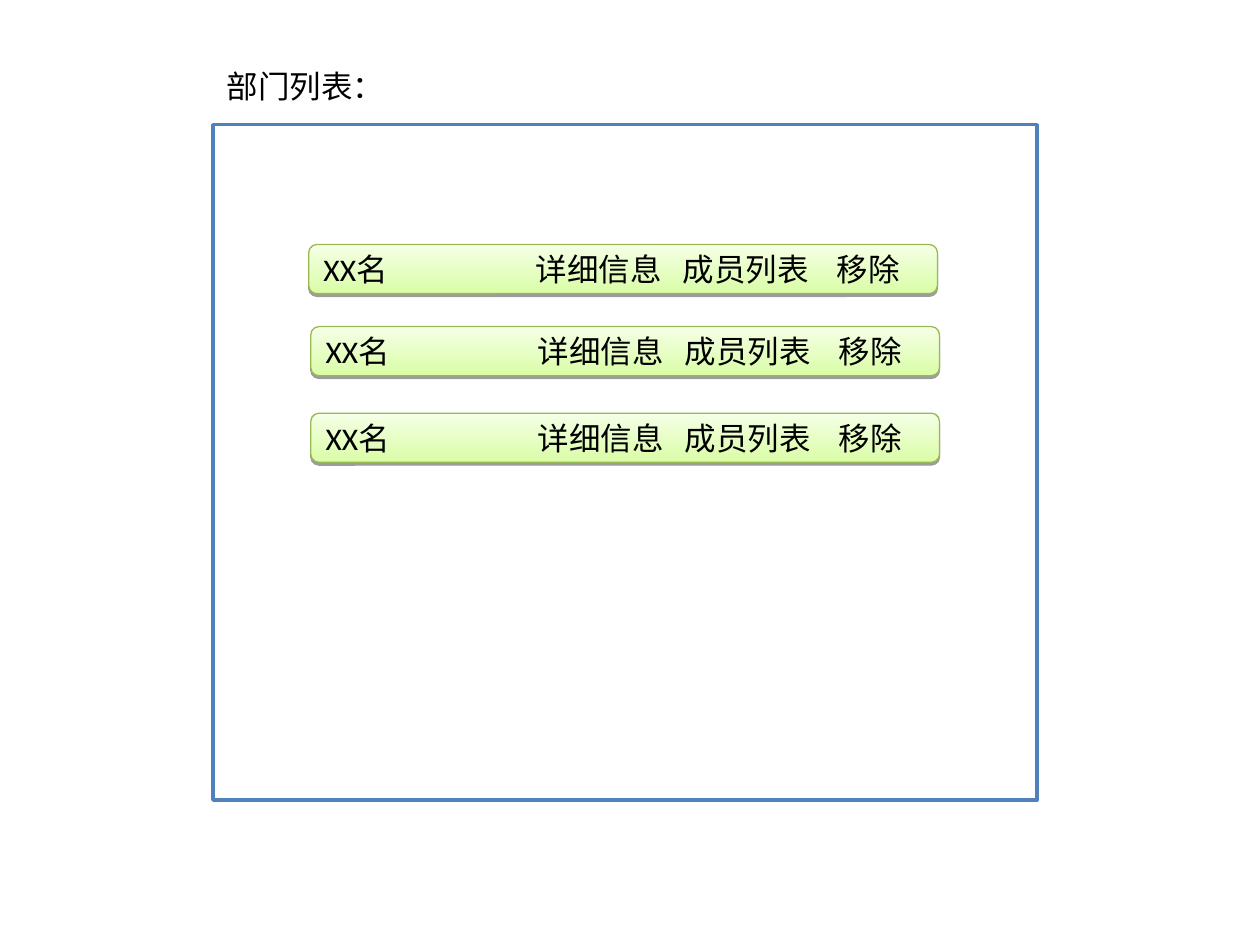
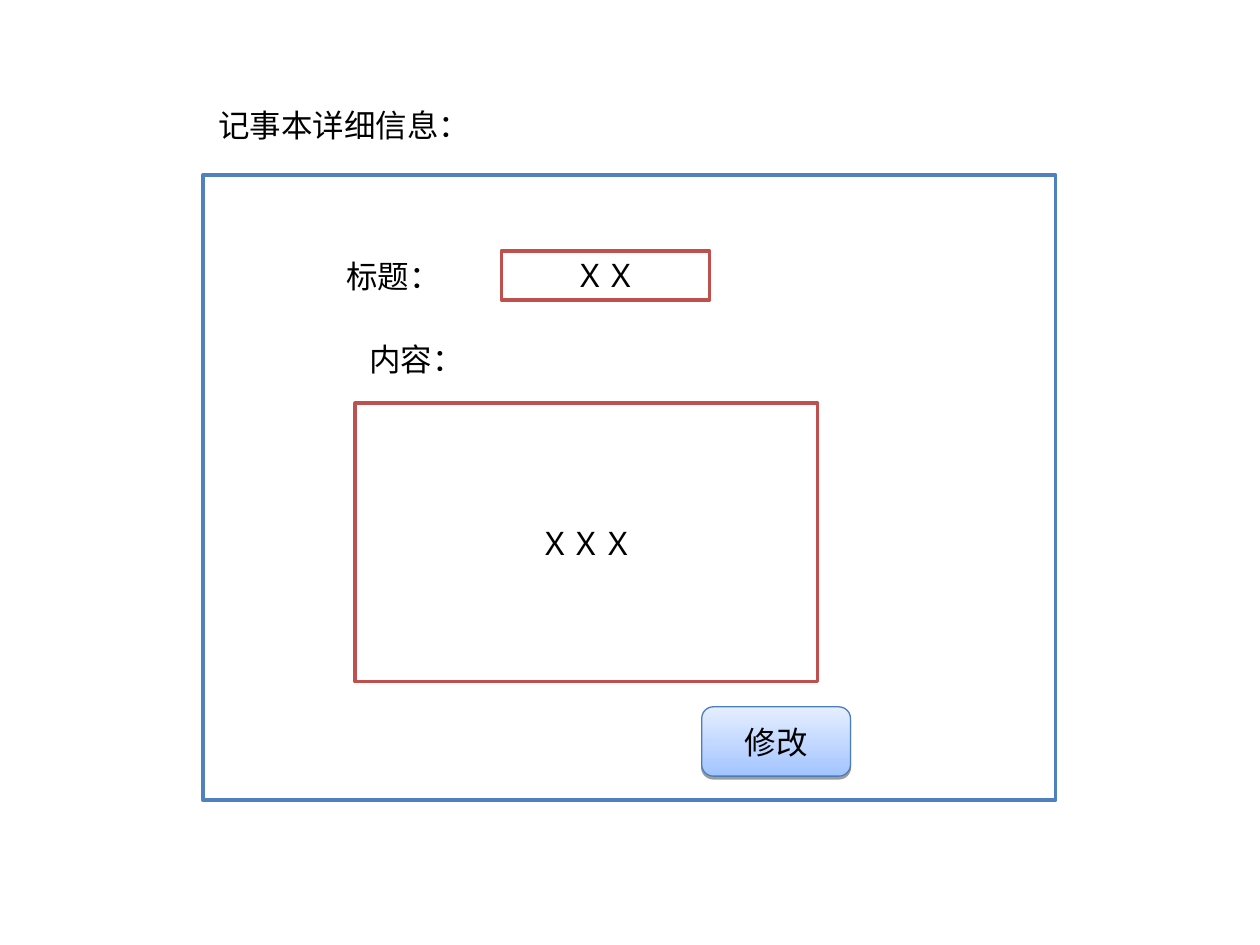
from lxml import etree
from pptx import Presentation
from pptx.dml.color import RGBColor
from pptx.enum.shapes import MSO_SHAPE
from pptx.enum.text import MSO_ANCHOR, MSO_AUTO_SIZE, PP_ALIGN
from pptx.oxml.ns import qn
from pptx.util import Pt

RECTANGLE = MSO_SHAPE.RECTANGLE
ROUNDED = MSO_SHAPE.ROUNDED_RECTANGLE
LEFT, CENTER = PP_ALIGN.LEFT, PP_ALIGN.CENTER
TOP, MIDDLE = MSO_ANCHOR.TOP, MSO_ANCHOR.MIDDLE
FIT_SHAPE = MSO_AUTO_SIZE.SHAPE_TO_FIT_TEXT

COLORS = {
    "text": "000000",
    "white": "FFFFFF",
    "frame": "4F81BD",
    "field": "C0504D",
    "shadow": "000000",
    "row_line": "98B954",
    "row_bottom": "DAFDA7",
    "row_top": "F5FFE6",
    "button_line": "4A7EBB",
    "button_bottom": "A3C4FF",
    "button_top": "E5EEFF",
}
FONT = "Calibri"
FONT_SIZE = 18
TITLE_ONLY_LAYOUT = 5
LABEL_HEIGHT = 29
ROW_WIDTH, ROW_HEIGHT = 359.3, 28.1
ROW_POSITIONS = [(176.4, 139.7), (177.6, 186.6), (177.6, 236.1)]
ROW_CELLS = ["XX名", "详细信息", "成员列表", "移除"]
ROW_TABS = [121.2, 205.2, 293.2]


def color(name):
    return RGBColor.from_string(COLORS[name])


def write_text(shape, text, alignment=LEFT, anchor=MIDDLE, wrap=True):
    """Write one paragraph in the common text style."""
    frame = shape.text_frame
    frame.word_wrap = wrap
    frame.vertical_anchor = anchor
    frame.margin_left = frame.margin_right = Pt(7.2)
    frame.margin_top = frame.margin_bottom = Pt(3.6)
    paragraph = frame.paragraphs[0]
    paragraph.text = text
    paragraph.alignment = alignment
    paragraph.font.name = FONT
    paragraph.font.size = Pt(FONT_SIZE)
    paragraph.font.color.rgb = color("text")
    return paragraph


def add_tab_stops(paragraph, positions):
    properties = paragraph._p.get_or_add_pPr()
    tab_list = etree.Element(qn("a:tabLst"))
    for position in positions:
        etree.SubElement(tab_list, qn("a:tab"), pos=str(Pt(position)), algn="l")
    properties.insert(0, tab_list)


def add_drop_shadow(shape):
    effects = shape._element.spPr.find(qn("a:effectLst"))
    shadow = etree.SubElement(effects, qn("a:outerShdw"), blurRad="0",
                              dist=str(Pt(1.6)), dir="5400000", rotWithShape="0")
    shadow_color = etree.SubElement(shadow, qn("a:srgbClr"), val=COLORS["shadow"])
    etree.SubElement(shadow_color, qn("a:alpha"), val="38000")


def add_outlined_shape(slide, kind, left, top, width, height, line, line_width):
    shape = slide.shapes.add_shape(kind, Pt(left), Pt(top), Pt(width), Pt(height))
    shape.shadow.inherit = False
    shape.line.color.rgb = color(line)
    shape.line.width = Pt(line_width)
    return shape


def add_box(slide, left, top, width, height, line):
    """Add a white rectangle with a thick coloured outline."""
    box = add_outlined_shape(slide, RECTANGLE, left, top, width, height, line, 2)
    box.fill.solid()
    box.fill.fore_color.rgb = color("white")
    return box


def add_gradient_bar(slide, left, top, width, height, style):
    """Add a rounded, shadowed bar that lightens towards its top."""
    bar = add_outlined_shape(slide, ROUNDED, left, top, width, height,
                             f"{style}_line", 0.75)
    bar.fill.gradient()
    bar.fill.gradient_angle = 90
    for stop, edge in zip(bar.fill.gradient_stops, ("bottom", "top")):
        stop.color.rgb = color(f"{style}_{edge}")
    add_drop_shadow(bar)
    return bar


def add_field(slide, left, top, width, height, text):
    field = add_box(slide, left, top, width, height, "field")
    write_text(field, text, CENTER)


def add_label(slide, left, top, width, text):
    label = slide.shapes.add_textbox(Pt(left), Pt(top), Pt(width), Pt(LABEL_HEIGHT))
    write_text(label, text, anchor=TOP, wrap=False)
    label.text_frame.auto_size = FIT_SHAPE


def add_titled_slide(presentation, title, left, top, width):
    slide = presentation.slides.add_slide(presentation.slide_layouts[TITLE_ONLY_LAYOUT])
    shape = slide.shapes.title
    shape.left, shape.top = Pt(left), Pt(top)
    shape.width, shape.height = Pt(width), Pt(LABEL_HEIGHT)
    write_text(shape, title, anchor=TOP, wrap=False)
    shape.text_frame.auto_size = FIT_SHAPE
    return slide


def build_department_list(presentation):
    slide = add_titled_slide(presentation, "部门列表：", 122.4, 34.6, 104.4)
    add_box(slide, 121.7, 71.3, 470.9, 385.9, "frame")
    for left, top in ROW_POSITIONS:
        row = add_gradient_bar(slide, left, top, ROW_WIDTH, ROW_HEIGHT, "row")
        paragraph = write_text(row, "\t".join(ROW_CELLS))
        add_tab_stops(paragraph, ROW_TABS)


def build_note_details(presentation):
    slide = add_titled_slide(presentation, "记事本详细信息：", 117.4, 56.9, 158.4)
    add_box(slide, 115.9, 100.1, 487.4, 357.1, "frame")

    # Note fields with their labels
    add_label(slide, 190.8, 143.3, 68.4, "标题：")
    add_field(slide, 286.6, 143.3, 118.8, 28.1, "ＸＸ")
    add_label(slide, 203.8, 190.8, 68.4, "内容：")
    add_field(slide, 203, 230.4, 264.2, 159.1, "ＸＸＸ")

    # Edit button
    button = add_gradient_bar(slide, 401, 403.9, 85, 39.6, "button")
    write_text(button, "修改", CENTER)


def main():
    presentation = Presentation()
    presentation.slide_width = Pt(720)
    presentation.slide_height = Pt(540)
    build_department_list(presentation)
    build_note_details(presentation)
    presentation.save("out.pptx")


if __name__ == "__main__":
    main()
